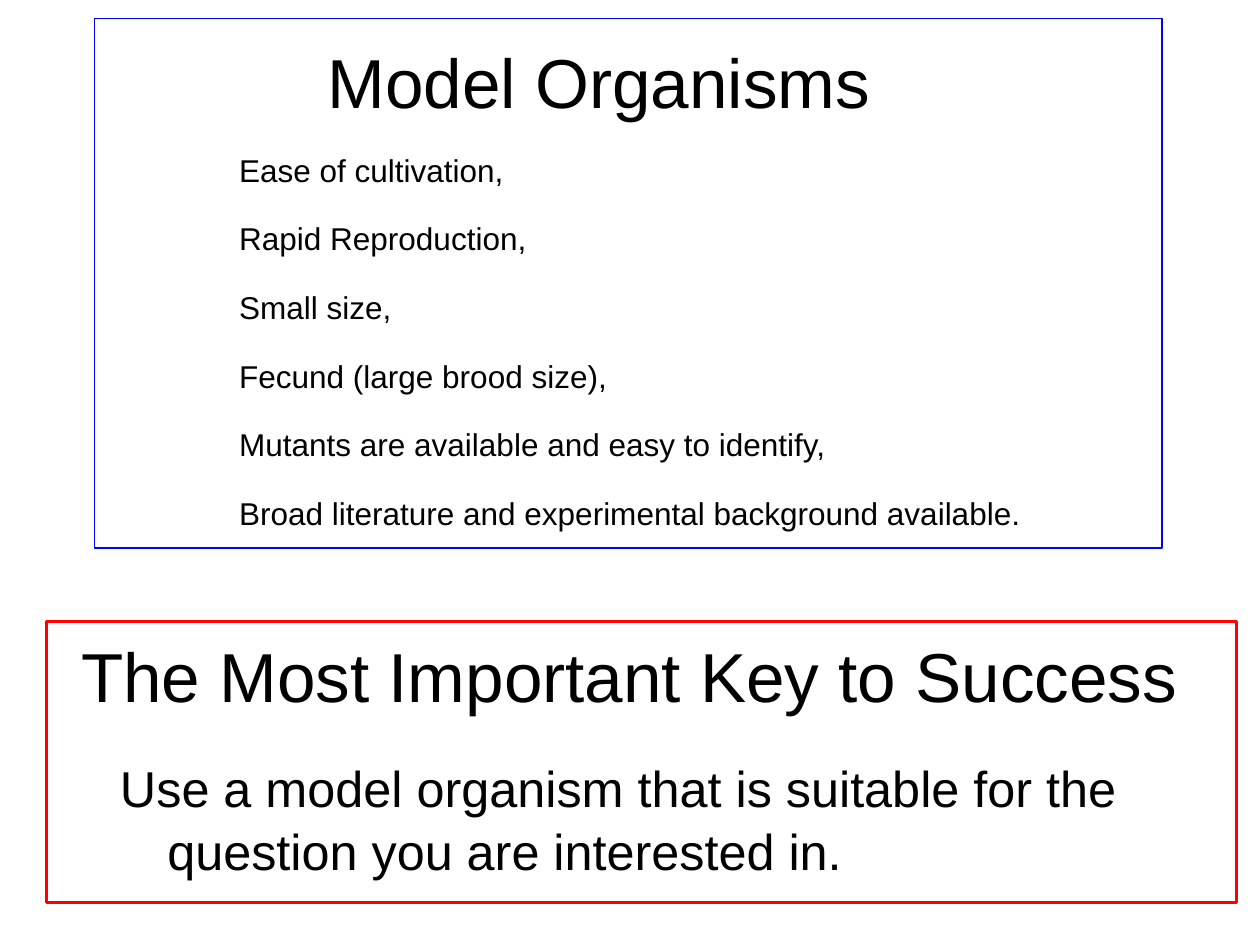
import pptx
import pptx.util
import pptx.dml.color
import pptx.enum.shapes
import pptx.enum.text
from pptx.util import Cm, Pt

RGBColor = pptx.dml.color.RGBColor
PP_ALIGN = pptx.enum.text.PP_ALIGN

BLACK = RGBColor(0x00, 0x00, 0x00)
BLUE = RGBColor(0x00, 0x00, 0xFF)
RED = RGBColor(0xFF, 0x00, 0x00)

TRAITS = [
    "Ease of cultivation,",
    "Rapid Reproduction,",
    "Small size,",
    "Fecund (large brood size),",
    "Mutants are available and easy to identify,",
    "Broad literature and experimental background available.",
]


class Deck:
    font = "Arial"
    heading_size = 44

    def __init__(self, width, height):
        self.prs = pptx.Presentation()
        self.prs.slide_width = Cm(width)
        self.prs.slide_height = Cm(height)
        self.s = None

    def add_slide(self):
        self.s = self.prs.slides.add_slide(self.prs.slide_layouts[5])

    def fill_text(self, sp, lines, size, align=PP_ALIGN.LEFT, gap=0,
                  hanging=0, spacing=1.0):
        """Write one paragraph per line; gap is in points, hanging in cm."""
        tf = sp.text_frame
        tf.word_wrap = True
        tf.auto_size = pptx.enum.text.MSO_AUTO_SIZE.NONE
        tf.vertical_anchor = pptx.enum.text.MSO_ANCHOR.TOP
        tf.margin_left = tf.margin_right = Cm(0.28)
        tf.margin_top = tf.margin_bottom = Cm(0.15)
        for i, line in enumerate(lines):
            p = tf.paragraphs[0] if i == 0 else tf.add_paragraph()
            p.alignment = align
            p.line_spacing = spacing
            p.space_before = Pt(gap if i else 0)
            if hanging:
                pPr = p._p.get_or_add_pPr()
                pPr.set("marL", str(Cm(hanging)))
                pPr.set("indent", str(-Cm(hanging)))
            r = p.add_run()
            r.text = line
            r.font.name = self.font
            r.font.size = Pt(size)
            r.font.color.rgb = BLACK

    def title(self, text, left, top, width, height):
        sp = self.s.shapes.title
        sp.left, sp.top = Cm(left), Cm(top)
        sp.width, sp.height = Cm(width), Cm(height)
        self.fill_text(sp, [text], self.heading_size, PP_ALIGN.CENTER)

    def text(self, lines, left, top, width, height, size, **style):
        sp = self.s.shapes.add_textbox(Cm(left), Cm(top), Cm(width), Cm(height))
        self.fill_text(sp, lines, size, **style)

    def frame(self, left, top, width, height, color, weight):
        sp = self.s.shapes.add_shape(
            pptx.enum.shapes.MSO_SHAPE.RECTANGLE,
            Cm(left), Cm(top), Cm(width), Cm(height))
        sp.shadow.inherit = False
        sp.fill.background()
        sp.line.color.rgb = color
        sp.line.width = Pt(weight)


def main():
    deck = Deck(28.24, 21.16)
    deck.add_slide()

    deck.title("The Most Important Key to Success", 0.84, 14.05, 26.57, 2.54)
    deck.text(["Use a model organism that is suitable for the question "
               "you are interested in."],
              2.41, 16.77, 24, 3.28, 32, hanging=1.06, spacing=1.04)
    deck.frame(1.04, 13.94, 26.67, 6.3, RED, 2)

    deck.text(["Model Organisms"], 6.35, 0.72, 14.17, 2.11,
              deck.heading_size, align=PP_ALIGN.CENTER)
    deck.text(TRAITS, 5.08, 3.23, 18.85, 8.8, 20, gap=19.6)
    deck.frame(2.12, 0.42, 23.92, 11.86, BLUE, 1)

    deck.prs.save("out.pptx")


if __name__ == "__main__":
    main()
